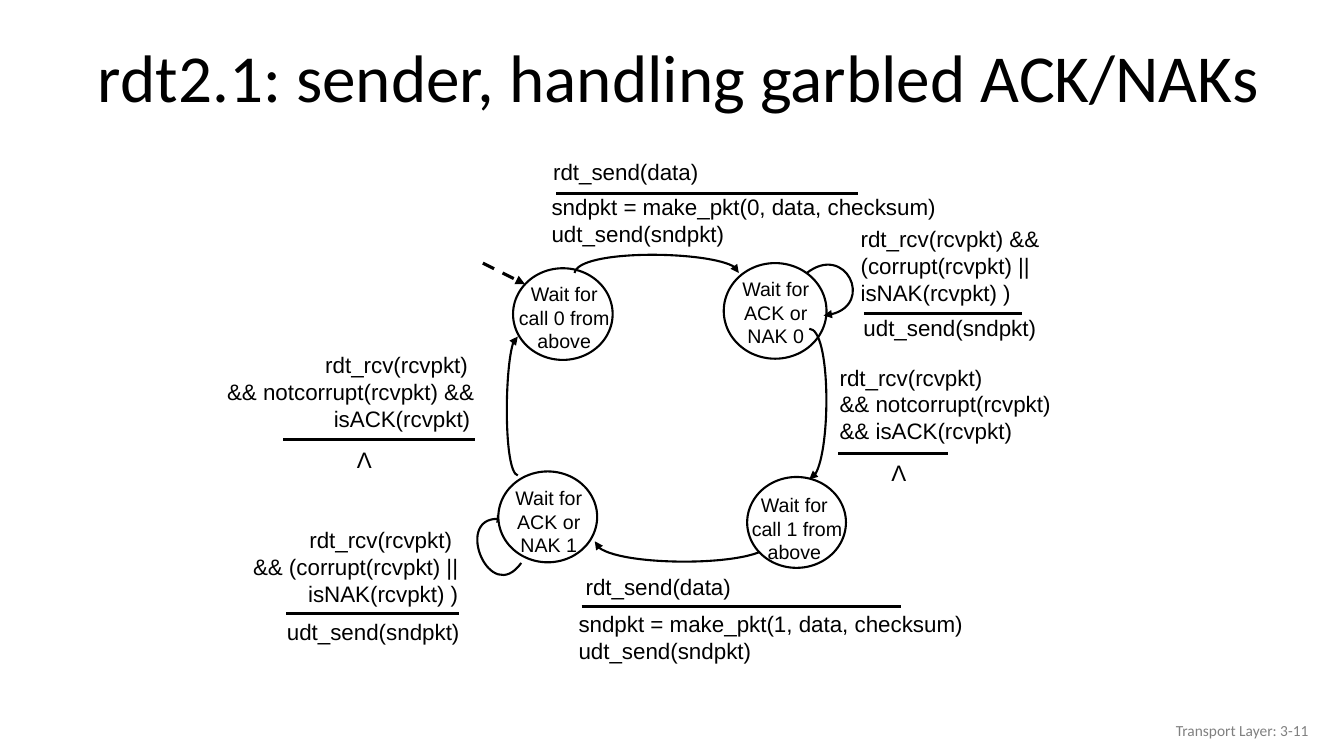
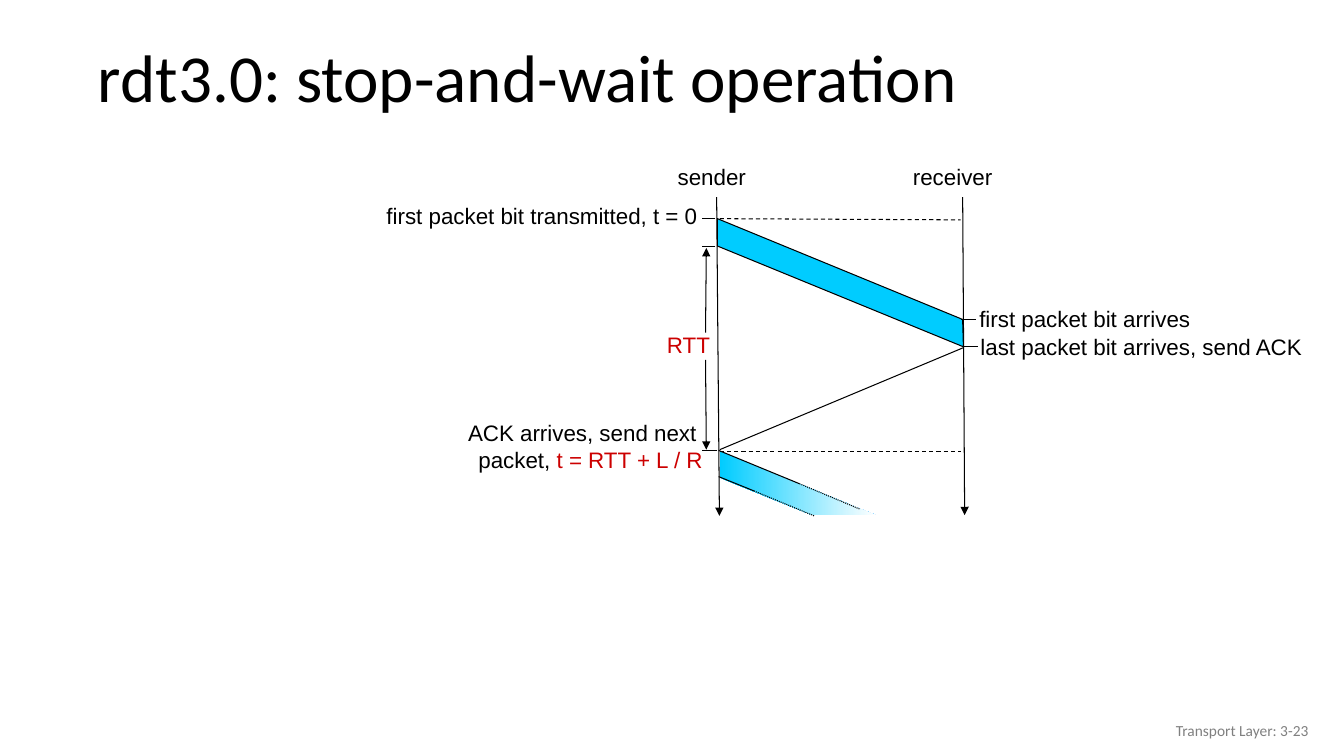
from lxml.etree import SubElement
from pptx import Presentation
from pptx.dml.color import RGBColor
from pptx.enum.dml import MSO_LINE
from pptx.enum.shapes import MSO_CONNECTOR, MSO_SHAPE
from pptx.enum.text import MSO_ANCHOR, PP_ALIGN
from pptx.oxml.ns import qn
from pptx.util import Cm, Pt

HUES = {
    "ink": "000000",
    "paper": "FFFFFF",
    "packet": "00CCFF",
    "alert": "CC0000",
    "muted": "808080",
}
BODY, HEAD = "Arial", "Calibri"
LEFT, MID, RIGHT = PP_ALIGN.LEFT, PP_ALIGN.CENTER, PP_ALIGN.RIGHT
DASH, DOT = MSO_LINE.DASH, MSO_LINE.ROUND_DOT


def hue(name):
    return RGBColor.from_string(HUES[name])


def paint(shape, name):
    shape.fill.solid()
    shape.fill.fore_color.rgb = hue(name)


def write(frame, lines, size=16, font=BODY, tint="ink", align=LEFT):
    for i, line in enumerate(lines):
        para = frame.paragraphs[0] if i == 0 else frame.add_paragraph()
        para.alignment = align
        for text, shade, points in [(line, tint, size)] if isinstance(line, str) else line:
            run = para.add_run()
            run.text = text
            run.font.size = Pt(points)
            run.font.name = font
            run.font.color.rgb = hue(shade)


def label(slide, x, y, wide, high, lines, align=LEFT, wrap=True, **style):
    box = slide.shapes.add_textbox(Cm(x), Cm(y), Cm(wide), Cm(high))
    box.text_frame.word_wrap = wrap
    write(box.text_frame, lines, align=align, **style)
    return box.text_frame


def plate(slide, x, y, wide, high, text):
    box = slide.shapes.add_shape(
        MSO_SHAPE.RECTANGLE, Cm(x), Cm(y), Cm(wide), Cm(high))
    box.shadow.inherit = False
    paint(box, "paper")
    box.line.fill.background()
    box.text_frame.vertical_anchor = MSO_ANCHOR.TOP
    write(box.text_frame, [text], align=RIGHT)


def pen(shape, weight, dash=None, tip=None):
    line = shape.line
    line.color.rgb = hue("ink")
    line.width = Pt(weight)
    if dash is not None:
        line.dash_style = dash
    if tip:
        SubElement(line._get_or_add_ln(), qn(f"a:{tip}End"), type="triangle")


def rule(slide, x1, y1, x2, y2, weight=0.75, dash=None, tip=None):
    link = slide.shapes.add_connector(
        MSO_CONNECTOR.STRAIGHT, Cm(x1), Cm(y1), Cm(x2), Cm(y2))
    pen(link, weight, dash, tip)
    SubElement(link._element.spPr, qn("a:effectLst"))


def trace(slide, spots, close):
    ends = [(Cm(x), Cm(y)) for x, y in spots]
    build = slide.shapes.build_freeform(*ends[0])
    build.add_line_segments(ends[1:], close=close)
    shape = build.convert_to_shape()
    shape.shadow.inherit = False
    return shape


def curve(slide, turn, tip, *knots):
    shape = trace(slide, knots, False)
    track = shape._element.find(".//" + qn("a:path"))
    legs = track.findall(qn("a:lnTo"))
    bend = SubElement(track, qn("a:cubicBezTo"))
    for leg in legs:
        bend.append(leg[0])
        track.remove(leg)
    shape.rotation = turn
    shape.fill.background()
    pen(shape, 1.5, tip=tip)


def state(slide, oval, note, lines):
    x, y, wide, high = map(Cm, oval)
    ring = slide.shapes.add_shape(MSO_SHAPE.OVAL, x, y, wide, high)
    ring.shadow.inherit = False
    paint(ring, "paper")
    pen(ring, 1.5)
    label(slide, *note, lines, MID, size=14)


def page(deck, title, number):
    slide = deck.slides.add_slide(deck.slide_layouts[6])
    head = label(slide, 2.22, 0.8, 30.84, 2.49, [title], size=48, font=HEAD)
    head.paragraphs[0].line_spacing = 0.9
    foot = label(slide, 25.61, 17.9, 7.62, 1.02, [f"Transport Layer: 3-{number}"],
                 RIGHT, size=11, font=HEAD, tint="muted")
    for frame in (head, foot):
        frame.vertical_anchor = MSO_ANCHOR.MIDDLE
    return slide


def sender(deck):
    slide = page(deck, "rdt2.1: sender, handling garbled ACK/NAKs", 11)
    back = [
        (0, "head", (14.99, 13.64), (15.06, 14.33), (19.43, 14.27), (19.43, 13.64)),
        (243.5, "tail", (11.66, 14.34), (11.03, 13.15), (13.67, 13.33), (12.82, 14.46)),
    ]
    front = [
        (0, "tail", (14.48, 6.88), (14.58, 6.27), (18.62, 6.32), (18.62, 6.88)),
        (337.4, "tail", (20.51, 6.59), (21.72, 6.25), (21.81, 8.15), (20.5, 7.74)),
        (90, "head", (22.57, 10.46), (22.49, 9.9), (18.78, 9.92), (18.78, 10.46)),
        (270, "tail", (11.12, 10.41), (11.2, 10.05), (14.62, 10.07), (14.62, 10.41)),
    ]
    states = [
        ((12.93, 6.76, 2.51, 2.31), (12.71, 6.99, 3.02, 1.7), ["Wait for call 0 from above"]),
        ((18.24, 6.63, 2.59, 2.41), (18.04, 6.86, 3.02, 1.8), ["Wait for ACK or NAK 0"]),
        ((18.83, 12.02, 2.49, 2.29), (18.47, 12.3, 3.1, 1.7),
         ["Wait for", " call 1 from above"]),
        ((12.56, 11.88, 2.49, 2.29), (12.38, 12.13, 2.9, 1.7), ["Wait for ACK or NAK 1"]),
    ]
    for arc in back:
        curve(slide, *arc)
    for item in states:
        state(slide, *item)
    for arc in front:
        curve(slide, *arc)
    rule(slide, 12.17, 6.63, 13.23, 7.16, 2.25, DASH, "tail")

    for x1, x2, y in [
        (14.02, 21.62, 4.88), (21.77, 25.76, 7.9), (14.66, 22.71, 15.29),
        (7.21, 11.56, 15.47), (21.13, 23.9, 11.43), (7.14, 11.96, 11.07),
    ]:
        rule(slide, x1, y, x2, y, 2.25)

    get, send, resend = "rdt_rcv(rcvpkt)", "rdt_send(data)", "udt_send(sndpkt)"
    make = "sndpkt = make_pkt({}, data, checksum)"
    nak = "isNAK(rcvpkt) )"
    for x, y, wide, high, align, lines in [
        (13.65, 4.75, 10.26, 1.12, LEFT, [make.format(0), resend]),
        (13.69, 3.87, 5.87, 0.84, LEFT, [send]),
        (21.51, 7.8, 6.27, 1.12, LEFT, [resend]),
        (21.44, 5.56, 8.84, 1.57, LEFT, [get + " && (corrupt(rcvpkt) ||", nak]),
        (14.33, 15.26, 10.46, 1.12, LEFT, [make.format(1), resend]),
        (14.51, 14.33, 6.63, 0.79, LEFT, [send]),
        (6.98, 15.46, 5.05, 0.76, LEFT, [resend]),
        (5.17, 13.13, 6.63, 1.57, RIGHT, [get + " ", "&& (corrupt(rcvpkt) ||", nak]),
        (20.91, 9.04, 8.33, 1.57, LEFT, [get, "&& notcorrupt(rcvpkt)", "&& isACK(rcvpkt)"]),
        (2.14, 8.73, 10.06, 1.57, RIGHT,
         [get + " ", [("&& notcorrupt(rcvpkt) && isACK(rcvpkt)", "ink", 16), (" ", "ink", 10)]]),
    ]:
        label(slide, x, y, wide, high, lines, align)
    for x, y in [(22.21, 11.45), (8.74, 11.11)]:
        label(slide, x, y, 0.89, 0.94, ["Λ"], MID, False)


def timing(deck):
    slide = page(deck, "rdt3.0: stop-and-wait operation", 23)
    rule(slide, 18.08, 5.54, 24.28, 8.1)
    plate(slide, 8.86, 4.96, 8.97, 0.99, "first packet bit transmitted, t = 0")
    rule(slide, 18.06, 4.94, 18.13, 13, tip="tail")
    rule(slide, 24.26, 4.95, 24.31, 12.98, tip="tail")
    plate(slide, 16.59, 3.99, 2.46, 0.97, "sender")
    plate(slide, 22.64, 3.99, 2.62, 0.97, "receiver")
    rule(slide, 18.14, 5.51, 24.21, 5.54, dash=DASH)
    rule(slide, 18.14, 11.38, 24.23, 11.38, dash=DASH)
    rule(slide, 18.14, 11.33, 24.28, 8.76)

    first = trace(slide, [(18.08, 5.51), (24.26, 8.05), (24.28, 8.74), (18.08, 6.2)], True)
    paint(first, "packet")
    pen(first, 0.75)

    for x1, x2, y in [
        (18.03, 17.68, 5.51), (18.03, 17.68, 6.2), (18.08, 17.7, 11.35),
        (24.59, 24.21, 8.05), (24.28, 24.64, 8.74),
    ]:
        rule(slide, x1, y, x2, y)
    for y1, y2 in [(9.07, 11.33), (8.38, 6.25)]:
        rule(slide, 17.78, y1, 17.8, y2, tip="tail")

    for x, y, wide, high, align, lines in [
        (15.88, 8.23, 2.36, 0.94, RIGHT, [[("RTT", "alert", 16), (" ", "ink", 10)]]),
        (24.43, 7.57, 6.73, 0.99, LEFT, ["first packet bit arrives"]),
        (24.46, 8.28, 8.66, 1.57, LEFT, ["last packet bit arrives, send ACK"]),
        (10.49, 10.44, 7.47, 1.75, RIGHT,
         ["ACK arrives, send next ",
          [("packet, ", "ink", 16), ("t = RTT + L / R", "alert", 16)]]),
    ]:
        label(slide, x, y, wide, high, lines, align)

    after = trace(slide, [(18.14, 11.38), (22.07, 12.98), (20.47, 12.98), (18.14, 12.04)], True)
    after.fill.gradient()
    after.fill.gradient_angle = 0
    for stop, name in zip(after.fill.gradient_stops, ("packet", "paper")):
        stop.color.rgb = hue(name)
    after.line.fill.background()
    for start, bend, end in [
        ((18.11, 11.35), (20.15, 12.19), (21.67, 12.83)),
        ((18.11, 12.01), (19, 12.37), (20.52, 13)),
    ]:
        rule(slide, *start, *bend)
        rule(slide, *bend, *end, dash=DOT)


def main():
    deck = Presentation()
    deck.slide_width, deck.slide_height = Cm(33.87), Cm(19.05)
    sender(deck)
    timing(deck)
    deck.save("out.pptx")


if __name__ == "__main__":
    main()
